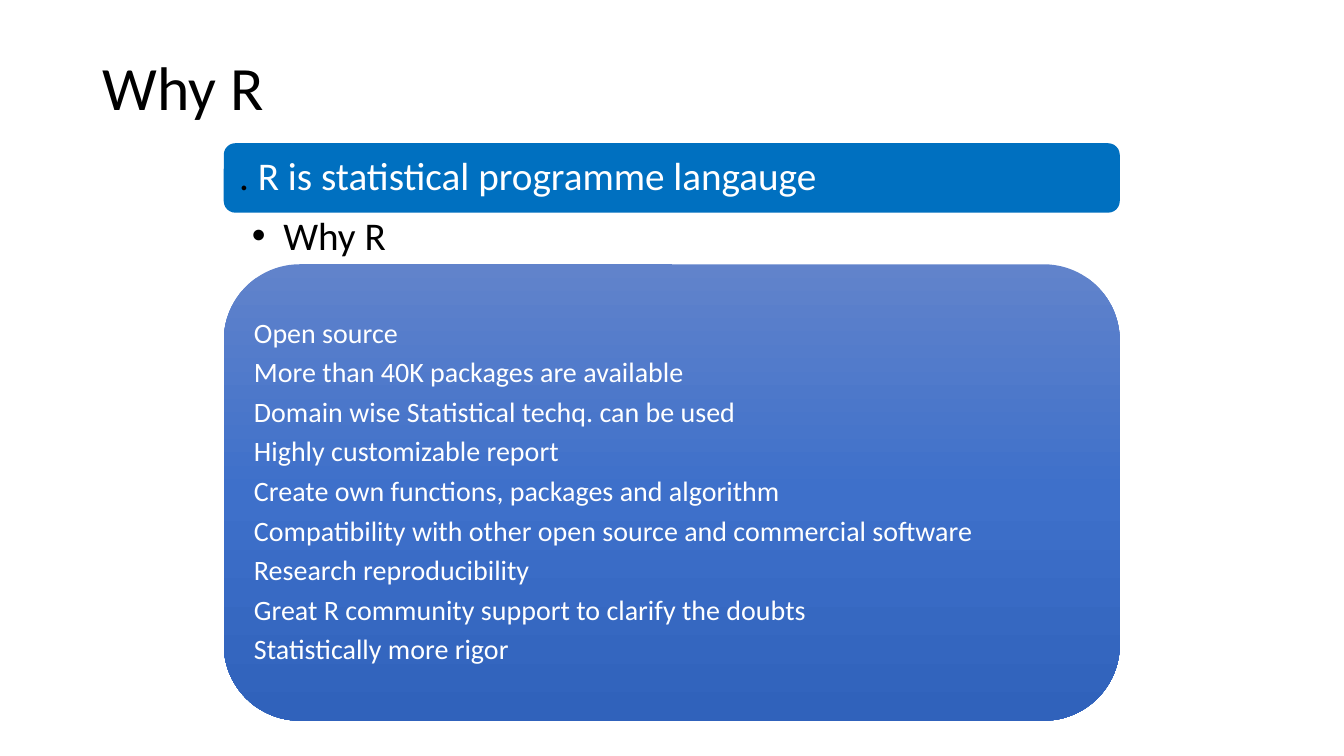
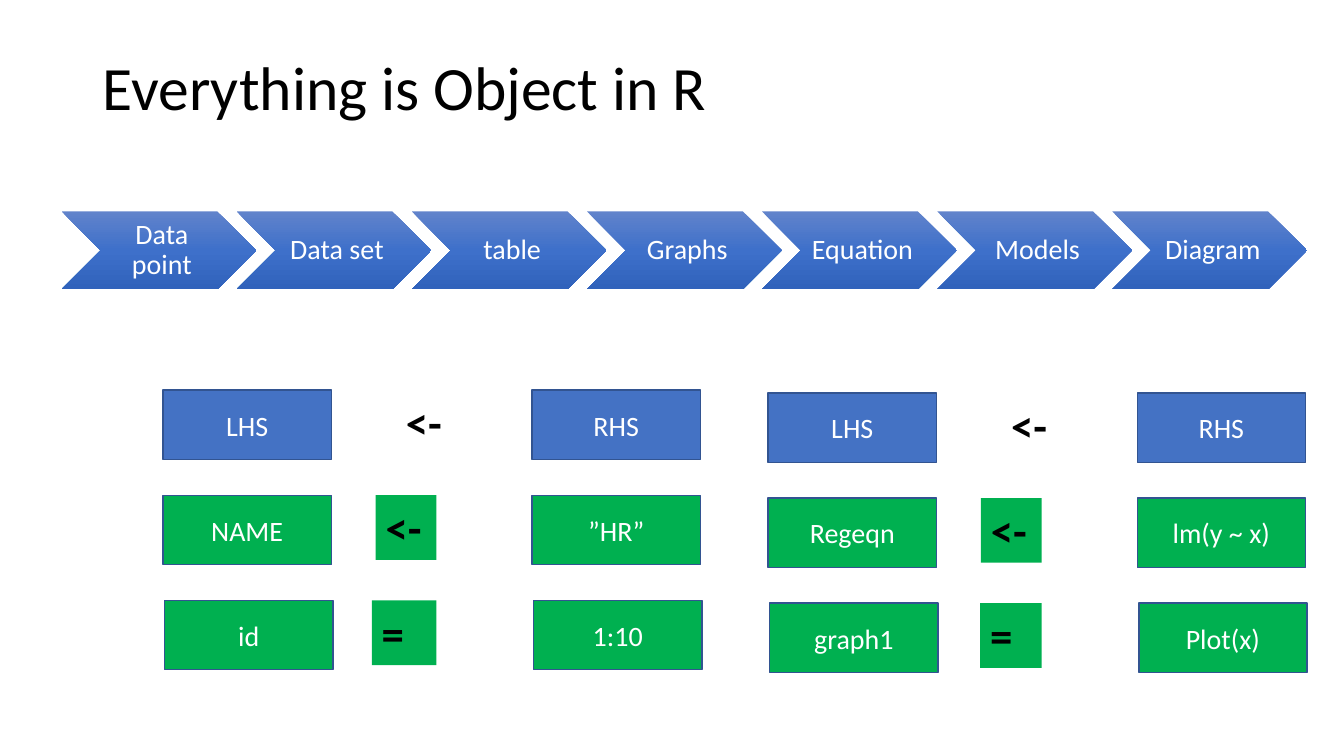
from copy import deepcopy
from dataclasses import dataclass

from lxml.etree import SubElement
from pptx import Presentation
from pptx.dml.color import RGBColor
from pptx.enum.shapes import MSO_SHAPE
from pptx.enum.text import MSO_ANCHOR, PP_ALIGN
from pptx.oxml.ns import qn
from pptx.util import Cm, Pt


@dataclass(frozen=True)
class Theme:
    font: str = "Calibri"
    black: str = "000000"
    white: str = "FFFFFF"
    banner: str = "0070C0"
    blue: str = "4472C4"
    green: str = "00B050"
    outline: str = "325491"
    gradient: tuple = ((0, "6183CB"), (0.5, "3E70CA"), (1, "3062BB"))
    title: int = 44
    operator: int = 32
    heading: int = 28
    body: int = 20


T = Theme()
CENTERED = {"alignment": PP_ALIGN.CENTER}
TIGHT = {"line_spacing": 0.9}
SPACED = TIGHT | {"space_after": Pt(6.7)}


def set_attrs(obj, formats):
    for name, value in formats.items():
        setattr(obj, name, value)


def paint(sp, fill):
    """Fill with one colour, or top to bottom with (position, colour) stops."""
    if isinstance(fill, str):
        sp.fill.solid()
        sp.fill.fore_color.rgb = RGBColor.from_string(fill)
        return
    sp.fill.gradient()
    sp.fill.gradient_angle = 270
    stops = sp._element.find(".//" + qn("a:gsLst"))
    stops.append(deepcopy(stops[0]))
    for stop, (position, color) in zip(sp.fill.gradient_stops, fill):
        stop.position = position
        stop.color.rgb = RGBColor.from_string(color)


def write(sp, paragraphs, size, color, para=None, bold=False, insets=None,
          anchor=MSO_ANCHOR.MIDDLE):
    """Write paragraphs, each a string or a list of (text, colour) runs."""
    tf = sp.text_frame
    set_attrs(tf, {"word_wrap": True, "vertical_anchor": anchor})
    if insets:
        sides = ("margin_left", "margin_top", "margin_right", "margin_bottom")
        set_attrs(tf, dict(zip(sides, map(Cm, insets))))
    for i, content in enumerate(paragraphs):
        p = tf.add_paragraph() if i else tf.paragraphs[0]
        set_attrs(p, {"alignment": PP_ALIGN.LEFT} | (para or {}))
        runs = [(content, color)] if isinstance(content, str) else content
        for text, run_color in runs:
            r = p.add_run()
            r.text = text
            set_attrs(r.font, {"name": T.font, "size": Pt(size), "bold": bold})
            r.font.color.rgb = RGBColor.from_string(run_color)


def add_box(s, box, preset, fill, line=None):
    sp = s.shapes.add_shape(preset, *map(Cm, box))
    sp.shadow.inherit = False
    paint(sp, fill)
    if line:
        sp.line.color.rgb = RGBColor.from_string(line)
        sp.line.width = Pt(1)
    else:
        sp.line.fill.background()
    return sp


def add_text(s, box, *args, **formats):
    sp = s.shapes.add_textbox(*map(Cm, box))
    write(sp, *args, **formats)
    return sp


def add_bullet(p, indent):
    pPr = p._p.get_or_add_pPr()
    pPr.set("marL", str(Cm(indent)))
    pPr.set("indent", str(-Cm(indent)))
    SubElement(pPr, qn("a:buFont")).set("typeface", "Arial")
    SubElement(pPr, qn("a:buChar")).set("char", "•")


def new_slide(prs, title):
    s = prs.slides.add_slide(prs.slide_layouts[6])
    add_text(s, (2.34, 1.02, 29.21, 2.54), [title], T.title, T.black, TIGHT)
    return s


def reasons_list(s, box, banner, subhead, reasons):
    """Stack a banner, a bulleted subhead and a panel of reasons."""
    x, y, w, h = box
    banner_h, subhead_h = 1.75, 1.3
    panel_top = banner_h + subhead_h
    sp = add_box(s, (x, y, w, banner_h), MSO_SHAPE.ROUNDED_RECTANGLE, T.banner)
    write(sp, [banner], T.heading, T.white, TIGHT, insets=(0.3,) * 4)
    sp = add_text(s, (x, y + banner_h, w, subhead_h), [subhead], T.heading,
                  T.black, TIGHT, insets=(0.71, 0.1, 0.56, 0.1),
                  anchor=MSO_ANCHOR.TOP)
    add_bullet(sp.text_frame.paragraphs[0], 0.79)
    sp = add_box(s, (x, y + panel_top, w, h - panel_top),
                 MSO_SHAPE.ROUNDED_RECTANGLE, T.gradient)
    write(sp, reasons, T.body, T.white, SPACED, insets=(0.2,) * 4)


def chevron_row(s, box, labels):
    """Spread chevrons over the box, each overlapping the next by a tenth."""
    x, y, w, h = box
    chevron_w = w / (1 + 0.9 * (len(labels) - 1))
    for i, label in enumerate(labels):
        sp = add_box(s, (x + i * 0.9 * chevron_w, y, chevron_w, h),
                     MSO_SHAPE.CHEVRON, T.gradient)
        write(sp, [label], T.body, T.white, SPACED | CENTERED,
              insets=(0.23, 0.08, 0.08, 0.08))


def assignment_grid(s, box, equals_w, rows):
    """Lay out rows of left side, operator and right side; the first is a header."""
    x, y, w, h = box
    cell_w, cell_h, op_h, op_right = 4.24, 1.75, 1.63, 6.89
    pitch = (h - cell_h) / (len(rows) - 1)
    for i, (left, op, right) in enumerate(rows):
        top = y + i * pitch
        shift = 0.04 if op == "=" else 0
        fill = T.green if i else T.blue
        for cell_x, label in ((x, left), (x + w - cell_w, right)):
            sp = add_box(s, (cell_x + shift, top, cell_w, cell_h),
                         MSO_SHAPE.RECTANGLE, fill, T.outline)
            write(sp, [label], T.body, T.white, CENTERED)
        op_w = equals_w if op == "=" else 1.53
        op_box = ((x + op_right - op_w, top, op_w, op_h) if i
                  else (x + 5.87, top, 3.1, op_h))
        sp = add_text(s, op_box, [op], T.operator, T.black, bold=True,
                      anchor=MSO_ANCHOR.TOP)
        if i:
            paint(sp, T.green)


def why_slide(prs):
    s = new_slide(prs, "Why R")
    reasons_list(
        s, (5.64, 3.61, 22.58, 14.55),
        [(". ", T.black), ("R is statistical programme langauge", T.white)],
        "Why R",
        ["Open source",
         "More than 40K packages are available",
         "Domain wise Statistical techq. can be used",
         "Highly customizable report",
         "Create own functions, packages and algorithm",
         "Compatibility with other open source and commercial software",
         "Research reproducibility",
         "Great R community support to clarify the doubts",
         "Statistically more rigor"])


def objects_slide(prs):
    s = new_slide(prs, "Everything is Object in R")
    chevron_row(s, (1.55, 5.33, 31.39, 1.96),
                ["Data point", "Data set", "table", "Graphs", "Equation",
                 "Models", "Diagram"])
    header = ("LHS", "<-", "RHS")
    assignment_grid(s, (4.11, 9.83, 13.54, 7.05), 1.63,
                    [header, ("NAME", "<-", "”HR”"), ("id", "=", "1:10")])
    assignment_grid(s, (19.36, 9.9, 13.54, 7.05), 1.55,
                    [header, ("Regeqn", "<-", "lm(y ~ x)"),
                     ("graph1", "=", "Plot(x)")])


def main():
    prs = Presentation()
    set_attrs(prs, {"slide_width": Cm(33.87), "slide_height": Cm(19.05)})
    why_slide(prs)
    objects_slide(prs)
    prs.save("out.pptx")


if __name__ == "__main__":
    main()
